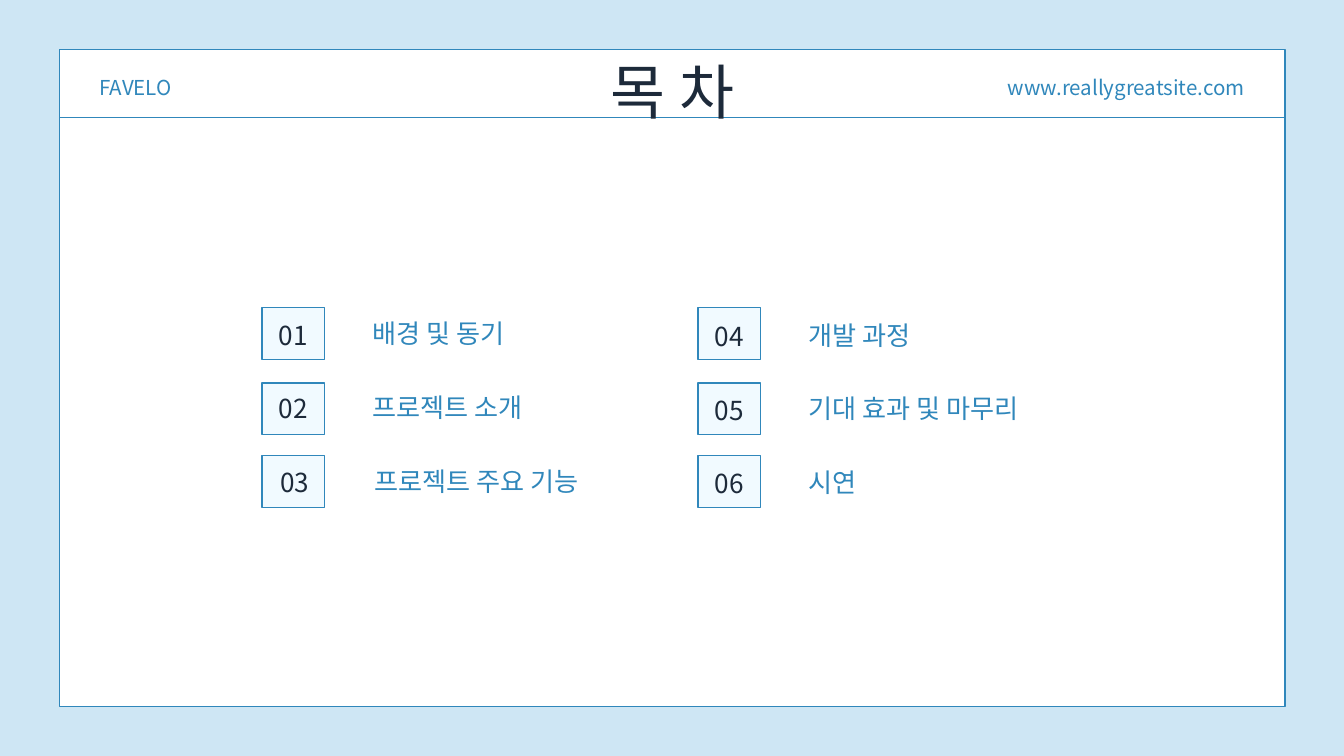
import pptx
import pptx.util
import pptx.dml.color
import pptx.enum.shapes
import pptx.enum.text
import pptx.oxml.ns
import lxml.etree

Inches, Pt = pptx.util.Inches, pptx.util.Pt
ALIGN = pptx.enum.text.PP_ALIGN
FONT = "Noto Sans CJK KR"
COLORS = {"page": "CEE6F4", "panel": "FFFFFF", "box": "F1FAFF",
          "blue": "3087BB", "dark": "1D2A3A"}

# Content
TITLE = "목 차"
BRAND = "FAVELO"
SITE = "www.reallygreatsite.com"
COLUMNS = [
    ["배경 및 동기", "프로젝트 소개", "프로젝트 주요 기능"],
    ["개발 과정", "기대 효과 및 마무리", "시연"],
]
NUDGES = {3: 0.04}  # sideways shift of an entry, by number

# Layout in inches
LEFT, TOP, WIDTH, HEIGHT = 0.89, 0.74, 18.23, 9.77
RULE_Y = 1.75
BOX_W, BOX_H = 0.93, 0.77
COLUMN_X = [3.9, 10.39]
BOX_Y = [4.58, 5.7, 6.78]
TEXT_Y, TEXT_STEP, COLUMN_DROP = 4.73, 1.095, 0.02


def rgb(name):
    return pptx.dml.color.RGBColor.from_string(COLORS[name])


def add_box(s, x, y, w, h, fill):
    sp = s.shapes.add_shape(pptx.enum.shapes.MSO_SHAPE.RECTANGLE,
                            Inches(x), Inches(y), Inches(w), Inches(h))
    sp.shadow.inherit = False
    sp.fill.solid()
    sp.fill.fore_color.rgb = rgb(fill)
    sp.line.color.rgb = rgb("blue")
    sp.line.width = Pt(1.5)


def add_text(s, text, x, y, w, h, size=28, spacing=33.6, color="blue",
             align=ALIGN.LEFT, sp=None):
    """Write text in a new text box, or in the placeholder given as sp."""
    if sp is None:
        sp = s.shapes.add_textbox(0, 0, 0, 0)
    sp.left, sp.top, sp.width, sp.height = map(Inches, (x, y, w, h))
    tf = sp.text_frame
    tf.word_wrap = True
    tf.auto_size = pptx.enum.text.MSO_AUTO_SIZE.NONE
    tf.vertical_anchor = pptx.enum.text.MSO_ANCHOR.TOP
    tf.margin_left = tf.margin_right = tf.margin_top = tf.margin_bottom = 0
    p = tf.paragraphs[0]
    p.alignment = align
    p.line_spacing = Pt(spacing)
    p.space_before = Pt(0)
    r = p.add_run()
    r.text = text
    r.font.size = Pt(size)
    r.font.name = FONT
    r.font.color.rgb = rgb(color)
    # Korean glyphs use the East Asian typeface
    ea = lxml.etree.SubElement(r.font._element, pptx.oxml.ns.qn("a:ea"))
    ea.set("typeface", FONT)


def main():
    prs = pptx.Presentation()
    prs.slide_width, prs.slide_height = Inches(20), Inches(11.25)
    s = prs.slides.add_slide(prs.slide_layouts[5])
    s.background.fill.solid()
    s.background.fill.fore_color.rgb = rgb("page")

    # Panel and header rule
    add_box(s, LEFT, TOP, WIDTH, HEIGHT, "panel")
    rule = s.shapes.add_connector(
        pptx.enum.shapes.MSO_CONNECTOR.STRAIGHT, Inches(LEFT), Inches(RULE_Y),
        Inches(LEFT + WIDTH), Inches(RULE_Y))
    rule.line.color.rgb = rgb("blue")
    rule.line.width = Pt(1.5)
    lxml.etree.SubElement(rule.element.spPr, pptx.oxml.ns.qn("a:effectLst"))

    # Header: the title goes in front of the panel
    add_text(s, SITE, 14.41, 1.06, 4.11, 0.42, size=22, spacing=30.8,
             align=ALIGN.RIGHT)
    add_text(s, BRAND, 1.48, 1.06, 3.22, 0.42, size=22, spacing=30.8)
    title = s.shapes.title
    s.shapes.element.append(title.element)
    add_text(s, TITLE, 6.94, 0.64, 6.13, 1.19, size=64, spacing=89.6,
             color="dark", align=ALIGN.CENTER, sp=title)

    # Numbered entries, column by column
    number = 0
    for col, entries in enumerate(COLUMNS):
        x = COLUMN_X[col]
        for row, entry in enumerate(entries):
            number += 1
            nudge = NUDGES.get(number, 0)
            y = TEXT_Y + row * TEXT_STEP + col * COLUMN_DROP
            add_box(s, x, BOX_Y[row], BOX_W, BOX_H, "box")
            add_text(s, f"{number:02d}", x - 0.18, y + 0.02, 1.29 + nudge,
                     0.45, color="dark", align=ALIGN.CENTER)
            add_text(s, entry, x + 1.64 + nudge, y, 4.25 - nudge, 0.47)

    prs.save("out.pptx")


if __name__ == "__main__":
    main()
